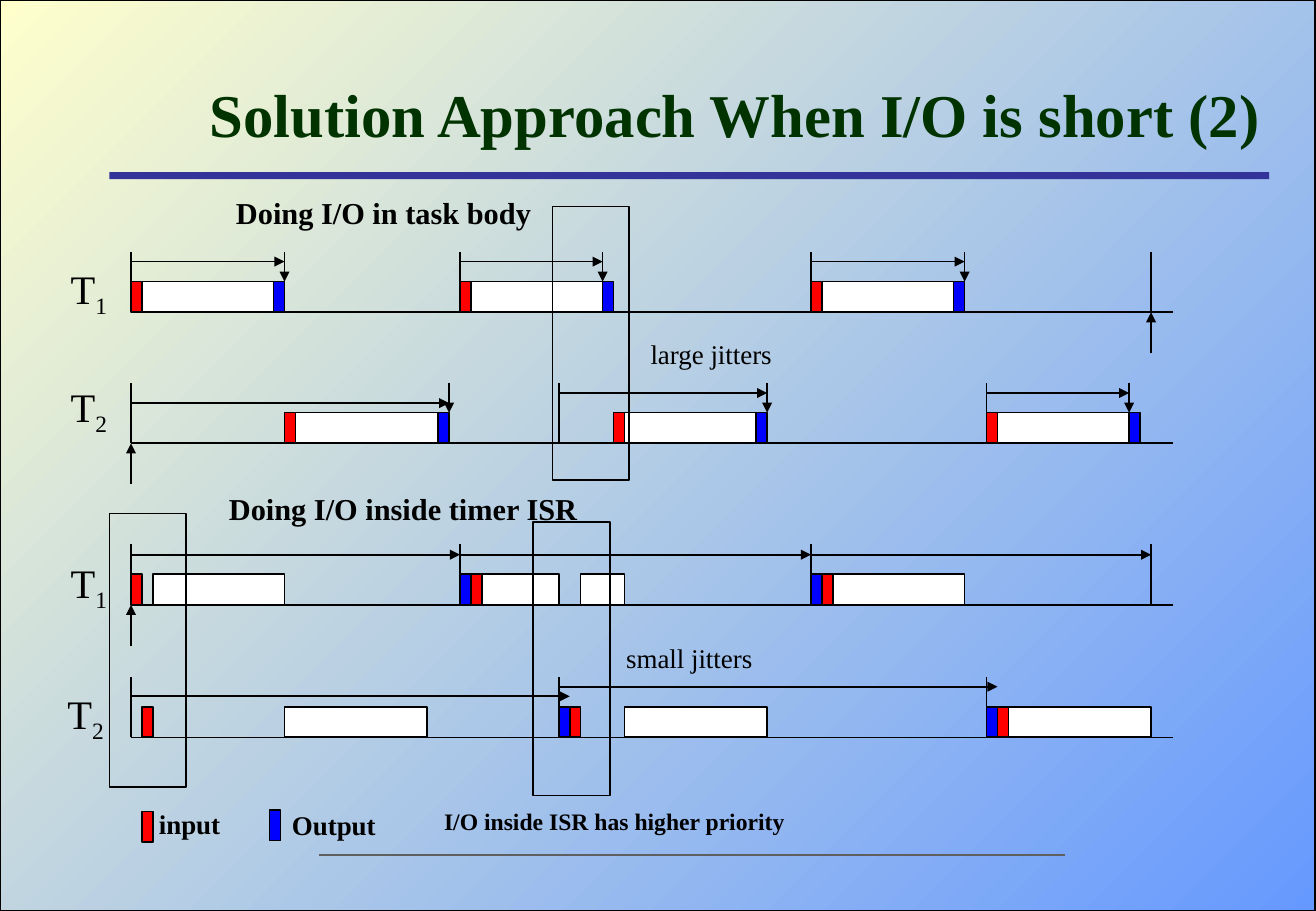
from dataclasses import dataclass

from lxml import etree
from pptx import Presentation
from pptx import util as u
from pptx.dml import color
from pptx.enum import shapes, text
from pptx.oxml import ns

BLACK, WHITE, RED, BLUE = "000000", "FFFFFF", "FF0000", "0000FF"
START = 2.74                      # cm, time zero on every timeline
TICK = 21.34 / 93                 # cm per time unit
END = 95                          # ticks
BLOCK_H, RELEASE_H, WAKE_H = 0.64, 1.27, 0.86


def rgb(value):
    return color.RGBColor.from_string(value)


def time_x(tick):
    return START + tick * TICK


@dataclass
class Timeline:
    """One task row; times are in ticks, heights in cm above the base."""
    task: str
    base: float
    label_left: float
    label_rise: float
    releases: tuple
    bodies: tuple
    inputs: tuple
    outputs: tuple
    spans: tuple
    span_rise: float
    drops: tuple = ()
    wake: int | None = None
    first_span_rise: float | None = None


class Board:
    font = "Times New Roman"
    line_width = 1

    def __init__(self, slide):
        self.slide = slide

    def rect(self, left, top, width, height, fill=None, line=BLACK, weight=line_width):
        box = self.slide.shapes.add_shape(
            shapes.MSO_SHAPE.RECTANGLE, u.Cm(left), u.Cm(top), u.Cm(width), u.Cm(height))
        box.shadow.inherit = False
        if fill:
            box.fill.solid()
            box.fill.fore_color.rgb = rgb(fill)
        else:
            box.fill.background()
        if line:
            box.line.color.rgb = rgb(line)
            box.line.width = u.Pt(weight)
        else:
            box.line.fill.background()
        return box

    def line(self, x1, y1, x2, y2, arrow=False, ink=BLACK, weight=line_width):
        rule = self.slide.shapes.add_connector(
            shapes.MSO_CONNECTOR.STRAIGHT, u.Cm(x1), u.Cm(y1), u.Cm(x2), u.Cm(y2))
        rule.line.color.rgb = rgb(ink)
        rule.line.width = u.Pt(weight)
        if arrow:
            etree.SubElement(rule.line._get_or_add_ln(), ns.qn("a:tailEnd"), type="triangle")
        etree.SubElement(rule._element.spPr, ns.qn("a:effectLst"))

    def text(self, words, left, top, width, height, size, bold=False, ink=BLACK,
             center=True, middle=False, subscript=""):
        box = self.slide.shapes.add_textbox(
            u.Cm(left), u.Cm(top), u.Cm(width), u.Cm(height))
        frame = box.text_frame
        frame.word_wrap = True
        frame.vertical_anchor = text.MSO_ANCHOR.MIDDLE if middle else text.MSO_ANCHOR.TOP
        paragraph = frame.paragraphs[0]
        paragraph.alignment = text.PP_ALIGN.CENTER if center else text.PP_ALIGN.LEFT
        paragraph.add_run().text = words
        if subscript:
            index = paragraph.add_run()
            index.text = subscript
            index._r.get_or_add_rPr().set("baseline", "-25000")
        font = paragraph.font
        font.name, font.size, font.bold = self.font, u.Pt(size), bold
        font.color.rgb = rgb(ink)

    def block(self, start, end, base, fill):
        self.rect(time_x(start), base - BLOCK_H, (end - start) * TICK, BLOCK_H, fill)

    def timeline(self, row):
        base = row.base
        self.line(START, base, time_x(END), base)
        for tick in row.releases:
            self.line(time_x(tick), base, time_x(tick), base - RELEASE_H)
        for start, end in row.bodies:
            self.block(start, end, base, WHITE)
        for ticks, fill in ((row.inputs, RED), (row.outputs, BLUE)):
            for tick in ticks:
                self.block(tick, tick + 1, base, fill)
        for tick in row.drops:
            self.line(time_x(tick), base - RELEASE_H, time_x(tick), base - BLOCK_H, arrow=True)
        for number, (start, end) in enumerate(row.spans):
            rise = row.first_span_rise if number == 0 and row.first_span_rise else row.span_rise
            self.line(time_x(start), base - rise, time_x(end), base - rise, arrow=True)
        if row.wake is not None:
            self.line(time_x(row.wake), base + WAKE_H, time_x(row.wake), base, arrow=True)
        self.text("T", row.label_left, base - row.label_rise, 2.2, 1.42, 24,
                  middle=True, subscript=row.task)


TIMELINES = (
    Timeline("1", 6.53, 0.76, 1.14, releases=(0, 30, 62, 93),
             bodies=((1, 13), (31, 43), (63, 75)), inputs=(0, 30, 62), outputs=(13, 43, 75),
             spans=((0, 14), (30, 43), (62, 76)), span_rise=1.06, drops=(14, 43, 76), wake=93),
    Timeline("2", 9.27, 0.76, 1.42, releases=(0, 39, 78),
             bodies=((15, 28), (44, 57), (78, 91)), inputs=(14, 44, 78), outputs=(28, 57, 91),
             spans=((0, 29), (39, 58), (78, 91)), span_rise=1.05, drops=(29, 58, 91), wake=0,
             first_span_rise=0.84),
    Timeline("1", 12.65, 0.76, 1.12, releases=(0, 30, 62, 93),
             bodies=((2, 14), (32, 39), (41, 45), (64, 76)), inputs=(0, 31, 63),
             outputs=(30, 62), spans=((0, 30), (30, 62), (62, 93)), span_rise=1.05, wake=0),
    Timeline("2", 15.42, 0.69, 1.14, releases=(0, 39, 78),
             bodies=((14, 27), (45, 58), (80, 93)), inputs=(1, 40, 79), outputs=(39, 78),
             spans=((0, 40), (39, 79)), span_rise=1.06, first_span_rise=0.86),
)
JITTER_WINDOWS = ((11.56, 4.32), (2.29, 10.74), (11.15, 10.92))


def main():
    deck = Presentation()
    deck.slide_width, deck.slide_height = u.Cm(27.53), u.Cm(19.05)
    slide = deck.slides.add_slide(deck.slide_layouts[6])
    slide.background.fill.solid()
    slide.background.fill.fore_color.rgb = rgb("FFFFCC")
    board = Board(slide)

    backdrop = board.rect(0, 0, 27.51, 19.05, weight=0.75)
    backdrop.fill.gradient()
    backdrop.fill.gradient_angle = 135
    for stop, tint, position in zip(backdrop.fill.gradient_stops, ("6699FF", "FFFFCC"), (0, 1)):
        stop.color.rgb = rgb(tint)
        stop.position = position
    board.rect(2.29, 3.6, 24.26, 0.15, "333399", line=None)
    board.line(6.68, 17.88, 22.28, 17.88, ink="5F5F5F", weight=1.5)

    board.text("Solution Approach When I/O is short (2)", 3.76, 1.52, 23.22, 1.68, 36,
               bold=True, ink="003300", middle=True)
    board.text("Doing I/O in task body", 1.14, 3.94, 13.77, 1.02, 18, bold=True)
    board.text("Doing I/O inside timer ISR", 1.55, 10.13, 13.77, 1.02, 18, bold=True)
    for row in TIMELINES:
        board.timeline(row)
    board.text("large jitters", 13.36, 6.93, 3.43, 0.94, 16, center=False, middle=True)
    board.text("small jitters", 12.85, 13.28, 10.77, 0.94, 16, center=False, middle=True)
    for left, top in JITTER_WINDOWS:
        board.rect(left, top, 7 * TICK, 5.72)

    board.rect(2.97, 16.97, TICK, BLOCK_H, RED)
    board.text("input", 2.62, 16.76, 2.69, 0.94, 16, bold=True)
    board.rect(5.64, 16.94, TICK, BLOCK_H, BLUE)
    board.text("Output", 5.79, 16.79, 2.39, 0.94, 16, bold=True)
    board.text("I/O inside ISR has higher priority", 9.04, 16.74, 7.85, 0.86, 14,
               bold=True, center=False)
    deck.save("out.pptx")


if __name__ == "__main__":
    main()
